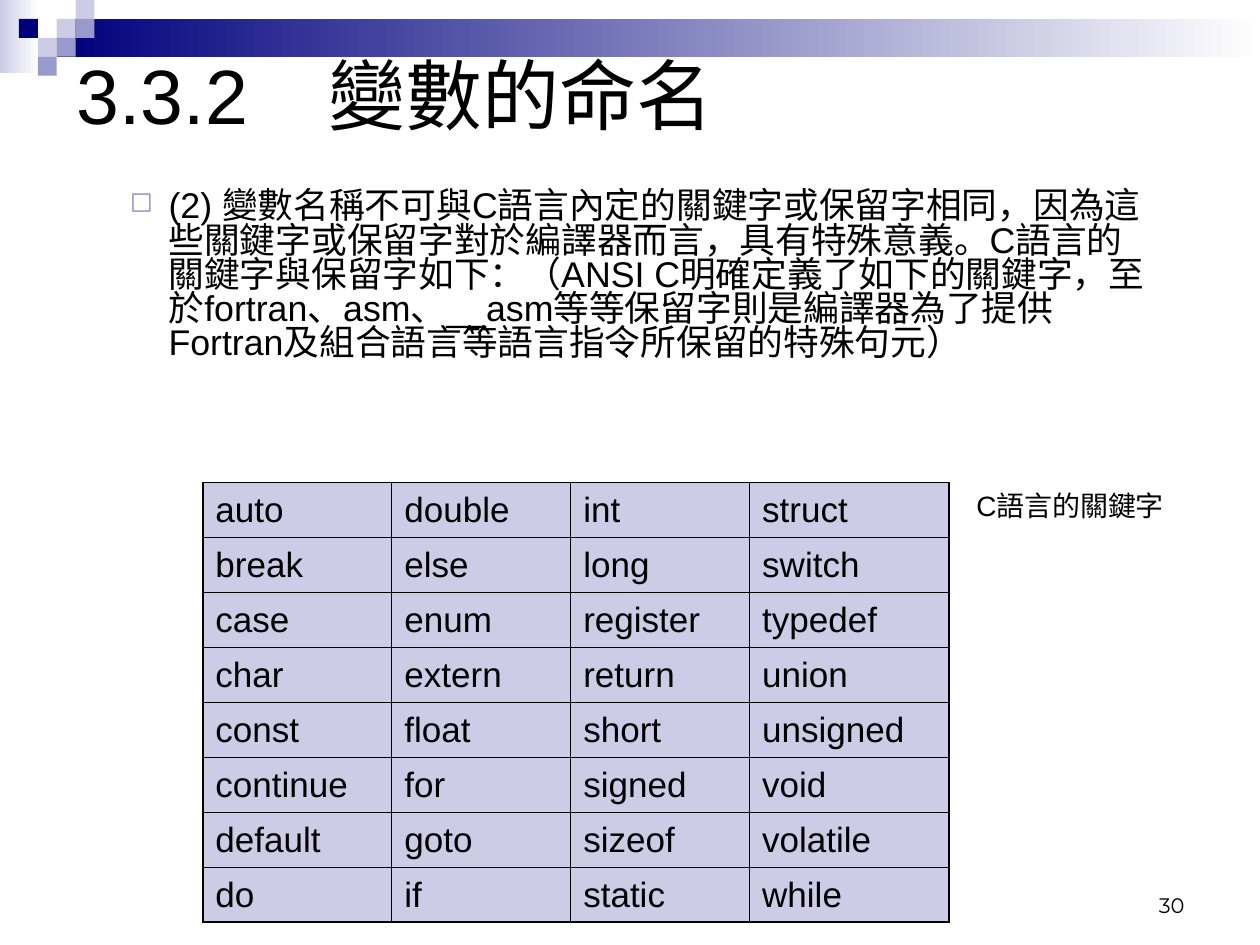
from lxml import etree
from pptx import Presentation
from pptx.dml.color import RGBColor
from pptx.enum.shapes import MSO_SHAPE
from pptx.enum.text import MSO_ANCHOR, MSO_AUTO_SIZE, PP_ALIGN
from pptx.oxml.ns import qn
from pptx.util import Inches, Pt

RECTANGLE = MSO_SHAPE.RECTANGLE
MIDDLE, BOTTOM = MSO_ANCHOR.MIDDLE, MSO_ANCHOR.BOTTOM
LEFT, RIGHT = PP_ALIGN.LEFT, PP_ALIGN.RIGHT
NO_AUTOFIT = MSO_AUTO_SIZE.NONE

BLACK = RGBColor(0x00, 0x00, 0x00)
WHITE = RGBColor(0xFF, 0xFF, 0xFF)
NAVY = RGBColor(0x00, 0x00, 0x7D)
PERIWINKLE = RGBColor(0x99, 0x99, 0xCC)
LAVENDER = RGBColor(0xCC, 0xCC, 0xE6)


def add_block(left, top, width, height, color, fade_to=None):
    shape = slide.shapes.add_shape(
        RECTANGLE, Inches(left), Inches(top), Inches(width), Inches(height))
    shape.shadow.inherit = False
    shape.line.fill.background()
    if fade_to is None:
        shape.fill.solid()
        shape.fill.fore_color.rgb = color
    else:
        shape.fill.gradient()
        shape.fill.gradient_angle = 0
        for stop, stop_color in zip(shape.fill.gradient_stops, (color, fade_to)):
            stop.color.rgb = stop_color


def style_text(paragraph, size, name="Arial", alignment=LEFT):
    paragraph.alignment = alignment
    paragraph.font.size = Pt(size)
    paragraph.font.name = name
    paragraph.font.color.rgb = BLACK


presentation = Presentation()
presentation.slide_width = Inches(10)
presentation.slide_height = Inches(7.5)
slide = presentation.slides.add_slide(presentation.slide_layouts[5])

# Header bands and mosaic of squares, placed by column and row
add_block(0, 0, 0.31, 0.58, LAVENDER, WHITE)
add_block(0.45, 0.15, 9.55, 0.3, NAVY, WHITE)
SQUARE = 0.15
for column, row, color in [
    (3, 1, LAVENDER), (4, 0, LAVENDER), (4, 1, PERIWINKLE), (2, 2, LAVENDER),
    (1, 1, NAVY), (3, 2, PERIWINKLE), (2, 3, PERIWINKLE),
]:
    add_block(column * SQUARE, row * SQUARE, SQUARE, SQUARE, color)

# Title
title = slide.shapes.title
title.left, title.top = Inches(0.51), Inches(0.28)
title.width, title.height = Inches(8.42), Inches(0.92)
title.text_frame.text = "3.3.2\t變數的命名"
title.text_frame.auto_size = NO_AUTOFIT
title.text_frame.vertical_anchor = MIDDLE
paragraph = title.text_frame.paragraphs[0]
tabs = etree.SubElement(paragraph._p.get_or_add_pPr(), qn("a:tabLst"))
for inch in range(1, 8):
    etree.SubElement(tabs, qn("a:tab"), pos=str(Inches(inch)), algn="l")
style_text(paragraph, 44)

# Body with a square bullet
body = slide.shapes.add_textbox(
    Inches(0.43), Inches(1.47), Inches(8.84), Inches(1.54))
body.text_frame.word_wrap = True
paragraph = body.text_frame.paragraphs[0]
paragraph.text = (
    "(2) 變數名稱不可與C語言內定的關鍵字或保留字相同，"
    "因為這些關鍵字或保留字對於編譯器而言，具有特殊意義。"
    "C語言的關鍵字與保留字如下：（ANSI C明確定義了如下的關鍵字，"
    "至於fortran、asm、__asm等等保留字則是編譯器為了提供 "
    "Fortran及組合語言等語言指令所保留的特殊句元）")
paragraph.level = 1
paragraph.line_spacing = 0.8
properties = paragraph._p.get_or_add_pPr()
properties.set("marL", str(Inches(0.81)))
properties.set("indent", str(Inches(-0.31)))
bullet_color = etree.SubElement(properties, qn("a:buClr"))
etree.SubElement(bullet_color, qn("a:srgbClr"), val=str(PERIWINKLE))
etree.SubElement(properties, qn("a:buSzPct"), val="80000")
etree.SubElement(properties, qn("a:buChar"), char="◻")
style_text(paragraph, 20.4)

# Keyword table: thick outer frame, thin inner rules
KEYWORDS = [
    ("auto", "double", "int", "struct"),
    ("break", "else", "long", "switch"),
    ("case", "enum", "register", "typedef"),
    ("char", "extern", "return", "union"),
    ("const", "float", "short", "unsigned"),
    ("continue", "for", "signed", "void"),
    ("default", "goto", "sizeof", "volatile"),
    ("do", "if", "static", "while"),
]
COLUMN_WIDTHS = [1.5, 1.42, 1.42, 1.58]
THICK, THIN = Pt(1.08), Pt(0.45)
last_row, last_column = len(KEYWORDS) - 1, len(COLUMN_WIDTHS) - 1
table = slide.shapes.add_table(
    len(KEYWORDS), len(COLUMN_WIDTHS),
    Inches(1.61), Inches(3.83), Inches(5.92), Inches(3.49)).table
table.first_row = table.horz_banding = False
for column, width in zip(table.columns, COLUMN_WIDTHS):
    column.width = Inches(width)
for row, words in enumerate(KEYWORDS):
    for column, word in enumerate(words):
        cell = table.cell(row, column)
        cell.text = word
        cell.vertical_anchor = MIDDLE
        style_text(cell.text_frame.paragraphs[0], 20)
        for tag, outer in [
            ("a:lnL", column == 0), ("a:lnR", column == last_column),
            ("a:lnT", row == 0), ("a:lnB", row == last_row),
        ]:
            border = etree.SubElement(
                cell._tc.get_or_add_tcPr(), qn(tag), w=str(THICK if outer else THIN))
            border_fill = etree.SubElement(border, qn("a:solidFill"))
            etree.SubElement(border_fill, qn("a:srgbClr"), val=str(BLACK))
        cell.fill.solid()
        cell.fill.fore_color.rgb = LAVENDER

# Table caption
caption = slide.shapes.add_textbox(
    Inches(7.65), Inches(3.83), Inches(1.74), Inches(0.37))
caption.text_frame.text = "C語言的關鍵字"
style_text(caption.text_frame.paragraphs[0], 16)

# Page number
page_number = slide.shapes.add_textbox(
    Inches(7.17), Inches(6.83), Inches(2.33), Inches(0.5))
page_number.text_frame.word_wrap = True
page_number.text_frame.vertical_anchor = BOTTOM
page_number.text_frame.text = "30"
style_text(page_number.text_frame.paragraphs[0], 12, "Montserrat", RIGHT)

presentation.save("out.pptx")
